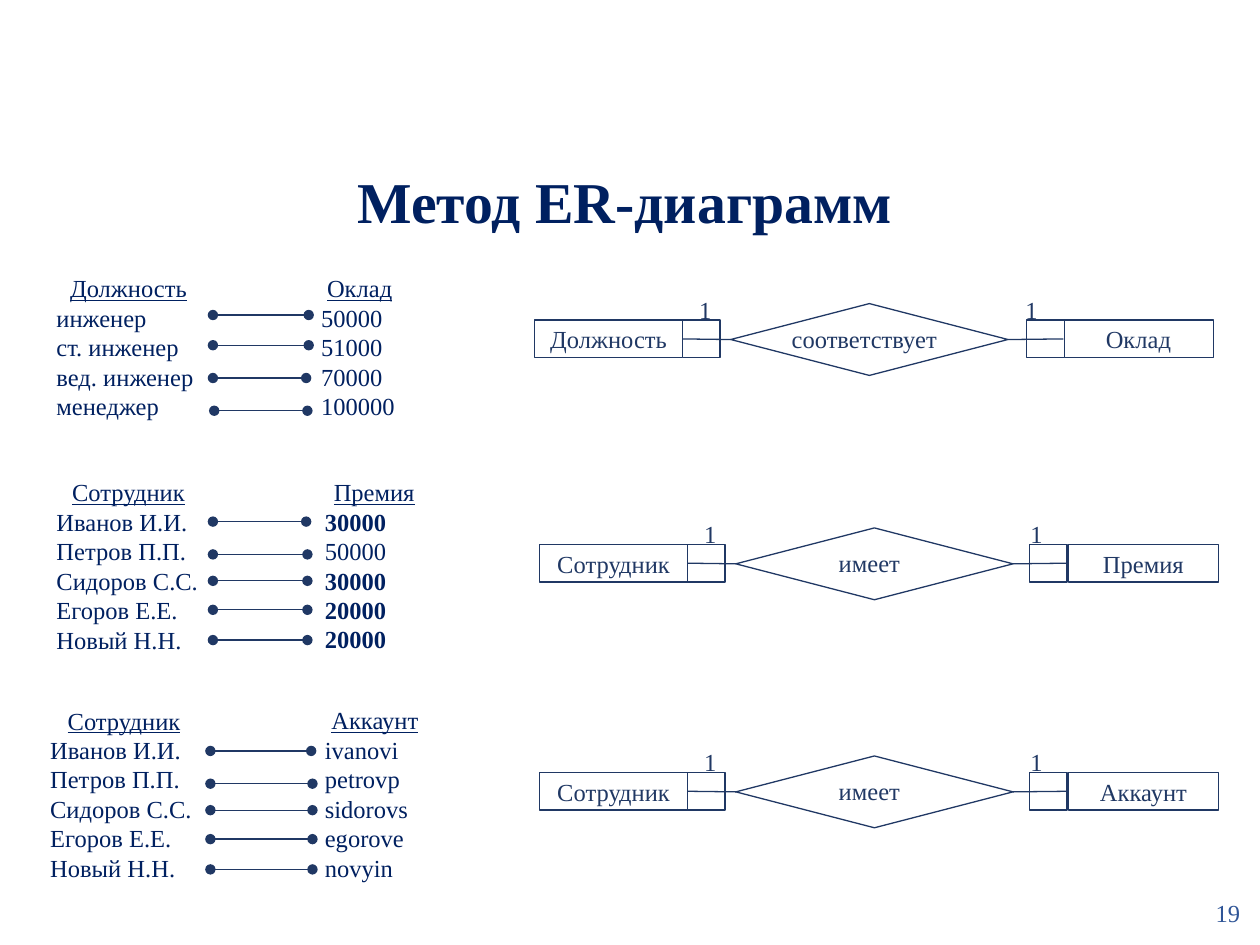
import pptx
import pptx.util
import pptx.dml.color
import pptx.enum.shapes
import pptx.enum.text
import pptx.oxml.ns
import lxml.etree

rgb = pptx.dml.color.RGBColor.from_string
RECT = pptx.enum.shapes.MSO_SHAPE.RECTANGLE
DIAMOND = pptx.enum.shapes.MSO_SHAPE.DIAMOND
ALIGN = pptx.enum.text.PP_ALIGN
ANCHOR = pptx.enum.text.MSO_ANCHOR
NAVY, INK, BLUE = "002060", "203864", "2F5597"

prs = pptx.Presentation()
prs.slide_width = pptx.util.Inches(10)
prs.slide_height = pptx.util.Inches(7.5)
col = prs.slide_width / 100
row = prs.slide_height / 75
slide = prs.slides.add_slide(prs.slide_layouts[6])


def add_text(text, x, y, w, h, kind=None, line=None, color=INK, size=14, bold=False,
             align=ALIGN.CENTER, anchor=ANCHOR.MIDDLE, spacing=1,
             heading=False, bold_rows=()):
    box = [round(x * col), round(y * row), round(w * col), round(h * row)]
    if kind is None:
        s = slide.shapes.add_textbox(*box)
    else:
        s = slide.shapes.add_shape(kind, *box)
        s.shadow.inherit = False
        s.fill.solid()
        s.fill.fore_color.rgb = rgb("FFFFFF")
        if line:
            s.line.color.rgb = rgb(line)
            s.line.width = pptx.util.Pt(0.75)
        else:
            s.line.fill.background()
    tf = s.text_frame
    tf.word_wrap = True
    tf.vertical_anchor = anchor
    for i, words in enumerate(text.split("\n") if text else []):
        p = tf.paragraphs[0] if i == 0 else tf.add_paragraph()
        is_heading = heading and i == 0
        p.alignment = ALIGN.CENTER if is_heading else align
        p.line_spacing = spacing
        r = p.add_run()
        r.text = words
        r.font.name = "Times New Roman"
        r.font.size = pptx.util.Pt(size)
        r.font.color.rgb = rgb(color)
        r.font.bold = bold or i in bold_rows
        r.font.underline = is_heading
    return s


def add_line(x1=0, y1=0, x2=0, y2=0, start=None, end=None, dots=False):
    c = slide.shapes.add_connector(
        pptx.enum.shapes.MSO_CONNECTOR.STRAIGHT,
        round(x1 * col), round(y1 * row), round(x2 * col), round(y2 * row))
    if start:
        c.begin_connect(*start)
    if end:
        c.end_connect(*end)
    c.line.color.rgb = rgb(INK)
    c.line.width = pptx.util.Pt(0.75)
    if dots:
        ln = c.line._get_or_add_ln()
        for tag in ("a:headEnd", "a:tailEnd"):
            lxml.etree.SubElement(ln, pptx.oxml.ns.qn(tag), type="oval")
    lxml.etree.SubElement(c._element.spPr, pptx.oxml.ns.qn("a:effectLst"))


add_text("Метод ER-диаграмм", -0.4, 11.5, 100, 9.5, color=NAVY, size=33, bold=True, spacing=0.9)

staff = "Сотрудник\nИванов И.И.\nПетров П.П.\nСидоров С.С.\nЕгоров Е.Е.\nНовый Н.Н."
staff_links = (4, 6.6, 8.7, 11, 13.4)

mappings = [
    (21.2, "Должность\nинженер\nст. инженер\nвед. инженер\nменеджер", 3.5, 13.4, 13.4,
     "Оклад\n50000\n51000\n70000\n100000", 24.5, 8.1, 13.4, (),
     [(16.9, 24.5, 3.8), (16.9, 24.5, 6.2), (16.9, 24.3, 8.8), (17, 24.4, 11.4)]),
    (37.4, staff, 3.5, 13.4, 15.1,
     "Премия\n30000\n50000\n30000\n20000\n20000", 24.8, 9.8, 14.7, (1, 3, 4, 5),
     [(16.9, 24.3 if i == 0 else 24.4, dy) for i, dy in enumerate(staff_links)]),
    (55.5, staff, 3, 13.7, 15.1,
     "Аккаунт\nivanovi\npetrovp\nsidorovs\negorove\nnovyin", 24.8, 9.9, 14.7, (),
     [(16.7, 24.7 if i == 0 else 24.8, dy + 0.1) for i, dy in enumerate(staff_links)]),
]
column = dict(kind=RECT, color=NAVY, align=ALIGN.LEFT, anchor=ANCHOR.TOP, heading=True)
for top, left, lx, lw, lh, right, rx, rw, rh, bold_rows, links in mappings:
    add_text(right, rx, top, rw, rh, bold_rows=bold_rows, **column)
    add_text(left, lx, top, lw, lh, **column)
    for x1, x2, dy in links:
        add_line(x1, top + dy, x2, top + dy, dots=True)

relations = [
    (42.4, 25.4, "Должность", "соответствует", "Оклад", 39.1),
    (42.8, 43.2, "Сотрудник", "имеет", "Премия", 38.9),
    (42.8, 61.3, "Сотрудник", "имеет", "Аккаунт", 38.9),
]
for x, y, left, verb, right, key_dx in relations:
    add_text(left, x, y, 11.8, 3, kind=RECT, line=INK)
    right_entity = add_text(right, x + 42, y, 11.9, 3, kind=RECT, line=INK)
    for dx, w in ((12.1, 3.8), (38, 3.5)):
        add_text("1", x + dx, y - 2.5, w, 4.2, kind=RECT, align=ALIGN.LEFT, anchor=ANCHOR.TOP)
    diamond = add_text("", x + 15.6, y - 1.3, 22, 5.7, kind=DIAMOND, line=INK)
    add_text(verb, x + 18.2, y - 0.2, 16, 3.3)
    left_key = add_text("", x + 11.75, y, 3, 3, kind=RECT, line=INK)
    add_line(start=(left_key, 1), end=(diamond, 1))
    add_text("", x + key_dx, y, 3, 3, kind=RECT, line=INK)
    add_line(start=(diamond, 3), end=(right_entity, 1))

add_text("19", 94.9, 69.8, 5.1, 5.2, color=BLUE)

prs.save("out.pptx")
